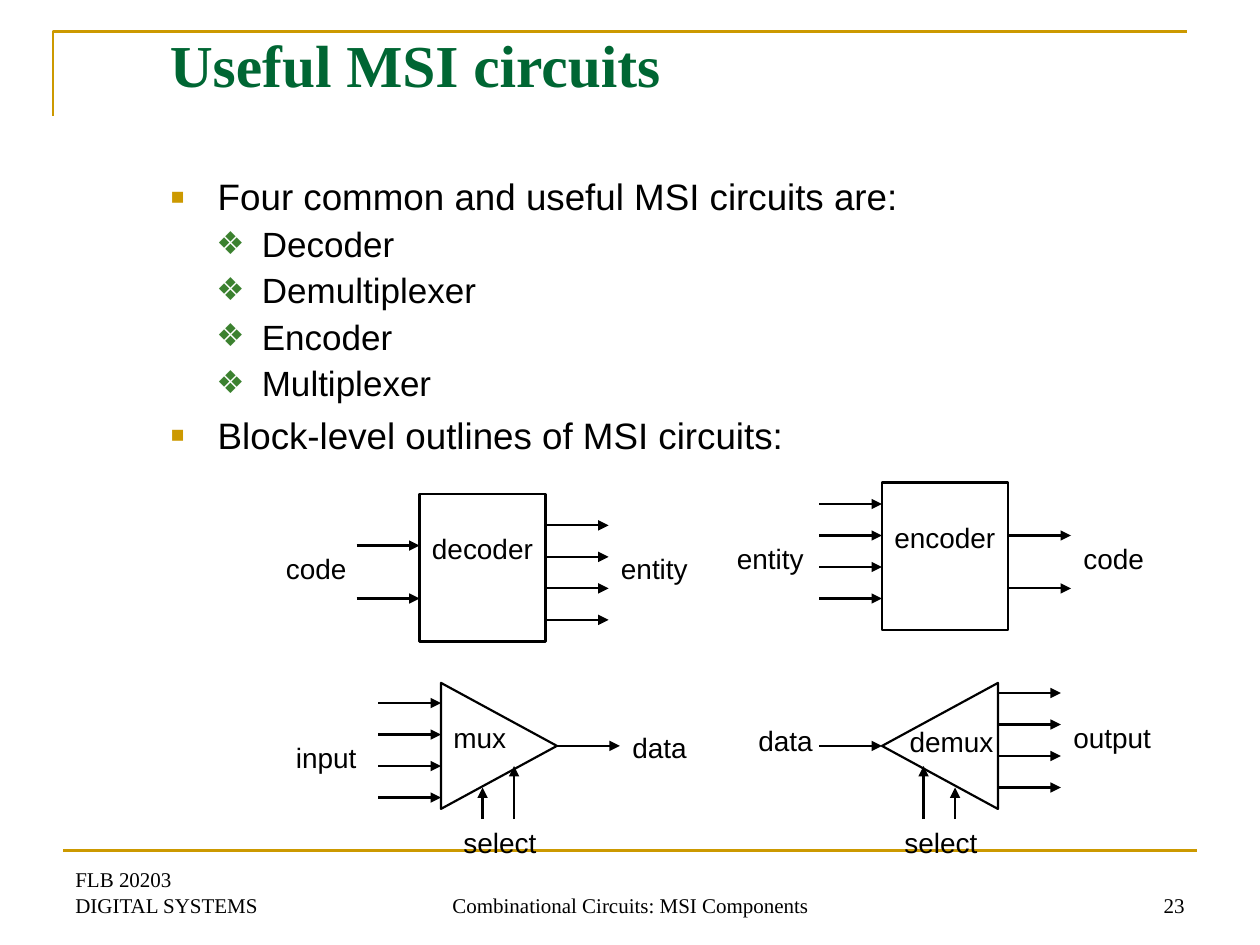
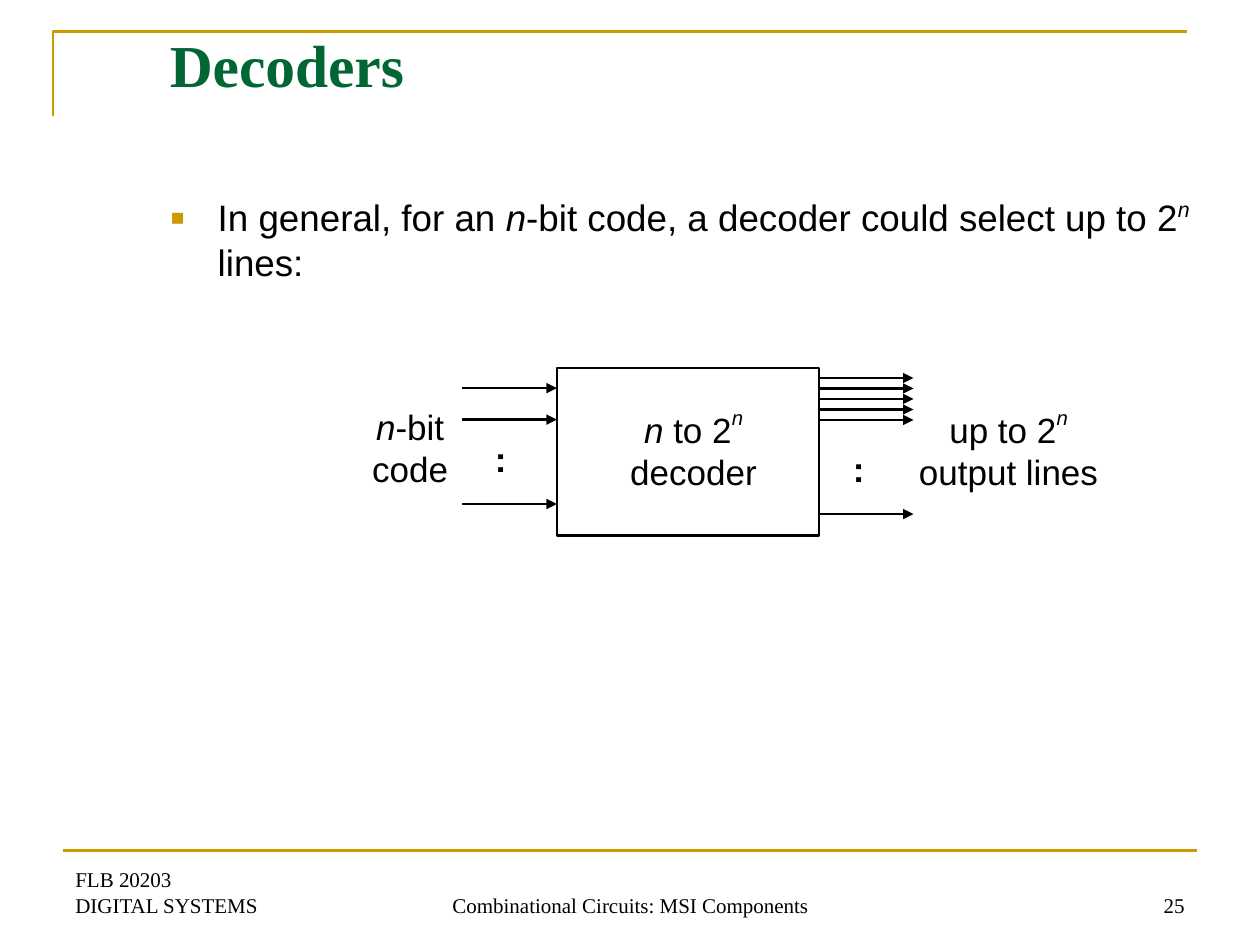
from lxml.etree import SubElement
from pptx import Presentation
from pptx.dml.color import RGBColor
from pptx.enum.shapes import MSO_CONNECTOR, MSO_SHAPE
from pptx.enum.text import MSO_ANCHOR, PP_ALIGN
from pptx.oxml.ns import qn
from pptx.util import Inches, Pt

GOLD, GREEN, LEAF, BLACK = "CC9900", "006633", "3B812F", "000000"
SANS, SERIF = "Arial", "Times New Roman"
# Per list level: mark, colour, size %, left, hang, text size, space before
LEVELS = [("▪", GOLD, 120, 0.38, 0.38, 21, 5.2),
          ("❖", LEAF, 90, 0.73, 0.36, 20, 2.5)]


def color(value):
    return RGBColor.from_string(value)


def steps(start, gap, count):
    return [start + gap * i for i in range(count)]


class Deck:
    def __init__(self):
        self.prs = Presentation()
        self.prs.slide_width, self.prs.slide_height = Inches(10), Inches(7.5)

    def page(self, title, number):
        self.slide = self.prs.slides.add_slide(self.prs.slide_layouts[6])
        self.shapes = self.slide.shapes
        self.corner()
        self.line(0.5, 6.75, 9.5, 6.75, GOLD, 1.5)
        foot = dict(size=12, face=SERIF, anchor=MSO_ANCHOR.BOTTOM)
        self.text(["FLB 20203\vDIGITAL SYSTEMS"], 0.5, 6.83, 2.33, 0.5, **foot)
        self.text(["Combinational Circuits: MSI Components"],
                  3.42, 6.83, 3.17, 0.5, align=PP_ALIGN.CENTER, **foot)
        self.text([str(number)], 7.17, 6.83, 2.33, 0.5,
                  align=PP_ALIGN.RIGHT, **foot)
        self.text([title], 1.25, 0.17, 8.5, 1.25, size=34, face=SERIF,
                  tint=GREEN, bold=True)

    def corner(self):
        path = self.shapes.build_freeform(Inches(0.42), Inches(0.92))
        path.add_line_segments([(Inches(0.42), Inches(0.25)),
                                (Inches(9.42), Inches(0.25))], close=False)
        self.outline(path.convert_to_shape(), GOLD, 1.5)

    def outline(self, shape, tint=BLACK, width=1.5):
        shape.shadow.inherit = False
        shape.fill.background()
        shape.line.color.rgb = color(tint)
        shape.line.width = Pt(width)

    def block(self, x, y, w, h):
        self.outline(self.shapes.add_shape(
            MSO_SHAPE.RECTANGLE, Inches(x), Inches(y), Inches(w), Inches(h)))

    def wedge(self, x, y, turn):
        """Draw a triangle whose unturned frame starts at x, y."""
        shape = self.shapes.add_shape(MSO_SHAPE.ISOSCELES_TRIANGLE, Inches(x),
                                      Inches(y), Inches(1), Inches(0.92))
        shape.rotation = turn
        self.outline(shape, width=1.25)

    def line(self, x1, y1, x2, y2, tint=BLACK, width=1.25):
        wire = self.shapes.add_connector(MSO_CONNECTOR.STRAIGHT, Inches(x1),
                                         Inches(y1), Inches(x2), Inches(y2))
        wire.line.color.rgb = color(tint)
        wire.line.width = Pt(width)
        SubElement(wire._element.spPr, qn("a:effectLst"))
        return wire

    def arrow(self, *ends):
        edge = self.line(*ends).line._get_or_add_ln()
        SubElement(edge, qn("a:tailEnd"), type="triangle")

    def arrows(self, x, ys, length=0.5):
        for y in ys:
            self.arrow(x, y, x + length, y)

    def runs(self, para, text, lift):
        """Split text at |; _ marks an italic part, ^ a raised italic one."""
        for part in text.split("|"):
            mark = part[0] if part[0] in "_^" else ""
            for i, piece in enumerate(part[len(mark):].split("\v")):
                if i:
                    para.add_line_break()
                run = para.add_run()
                run.text = piece
                if mark:
                    run.font.italic = True
                if mark == "^":
                    run._r.get_or_add_rPr().set("baseline", str(lift * 1000))

    def font(self, para, size, face=SANS, tint=BLACK, bold=False):
        para.font.size, para.font.name = Pt(size), face
        para.font.bold = bold
        para.font.color.rgb = color(tint)

    def frame(self, x, y, w, h, anchor=MSO_ANCHOR.TOP):
        box = self.shapes.add_textbox(Inches(x), Inches(y),
                                      Inches(w), Inches(h))
        box.text_frame.word_wrap = True
        box.text_frame.vertical_anchor = anchor
        return box.text_frame

    def paras(self, frame, count):
        return [frame.paragraphs[0]] + [frame.add_paragraph()
                                        for _ in range(count - 1)]

    def text(self, rows, x, y, w, h, size=16, align=PP_ALIGN.LEFT,
             anchor=MSO_ANCHOR.TOP, **style):
        frame = self.frame(x, y, w, h, anchor)
        for para, row in zip(self.paras(frame, len(rows)), rows):
            para.alignment = align
            self.runs(para, row, 50)
            self.font(para, size, **style)

    def label(self, word, x, y, w=0.75):
        self.text([word], x, y, w, 0.37)

    def caption(self, rows, x, w=1.67):
        self.text(rows, x, 3.17, w, 0.79, size=20, align=PP_ALIGN.CENTER)

    def bullets(self, items, x, y, w, h):
        """Write (level, text) items as a bulleted list."""
        paras = self.paras(self.frame(x, y, w, h), len(items))
        for i, (para, (level, row)) in enumerate(zip(paras, items)):
            mark, tint, scale, left, hang, size, space = LEVELS[level]
            props = para._p.get_or_add_pPr()
            props.set("marL", str(Inches(left)))
            props.set("indent", str(-Inches(hang)))
            SubElement(SubElement(props, qn("a:buClr")),
                       qn("a:srgbClr"), val=tint)
            SubElement(props, qn("a:buSzPct"), val=str(scale * 1000))
            SubElement(props, qn("a:buFont"), typeface=SANS)
            SubElement(props, qn("a:buChar"), char=mark)
            para.level = level
            if i:
                para.space_before = Pt(space)
            self.runs(para, row, 40)
            self.font(para, size)


def circuits(deck):
    deck.page("Useful MSI circuits", 23)
    kinds = ["Decoder", "Demultiplexer", "Encoder", "Multiplexer"]
    deck.bullets([(0, "Four common and useful MSI circuits are:"),
                  *[(1, kind) for kind in kinds],
                  (0, "Block-level outlines of MSI circuits:")],
                 1.25, 1.33, 8.17, 2.58)

    # Decoder and encoder: input wires, block, output wires
    for name, x, y, ins, outs in [
            ("decoder", 3.33, 3.92, steps(4.33, 0.42, 2), steps(4.17, 0.25, 4)),
            ("encoder", 7, 3.83, steps(4, 0.25, 4), steps(4.25, 0.42, 2))]:
        deck.block(x, y, 1, 1.17)
        deck.label(name, x, y + 0.25, 1.08)
        deck.arrows(x - 0.5, ins)
        deck.arrows(x + 1, outs)
    deck.label("code", 2.17, 4.33)
    deck.label("entity", 4.83, 4.33)
    deck.label("entity", 5.75, 4.25)
    deck.label("code", 8.5, 4.25)

    # Multiplexer and demultiplexer: wires plus two select lines from below
    for x, turn, ins, outs, short, tall, pick in [
            (3.5, 90, steps(5.58, 0.25, 4), [5.92], 3.83, 4.08, 3.58),
            (7, 270, [5.92], steps(5.5, 0.25, 4), 7.58, 7.33, 7.08)]:
        deck.wedge(x - 0.04, 5.46, turn)
        deck.arrows(x - 0.5, ins)
        deck.arrows(x + 0.92, outs)
        deck.arrow(short, 6.5, short, 6.25)
        deck.arrow(tall, 6.5, tall, 6.08)
        deck.label("select", pick, 6.5, 0.83)
    deck.label("mux", 3.5, 5.67)
    deck.label("input", 2.25, 5.83)
    deck.label("data", 4.92, 5.75)
    deck.label("demux", 7.12, 5.7, 0.92)
    deck.label("data", 5.92, 5.69)
    deck.label("output", 8.42, 5.67, 0.83)


def decoders(deck):
    deck.page("Decoders", 25)
    deck.bullets([(0, "In general, for an |_n|-bit code, a decoder could "
                      "select up to 2|^n| lines:")], 1.25, 1.5, 8.5, 0.92)
    deck.block(4.42, 2.92, 2.08, 1.33)
    deck.arrows(3.67, [3.08, 3.33, 4], 0.75)
    deck.arrows(6.5, [*steps(3, 1 / 12, 5), 4.08], 0.75)
    for x, y in [(3.83, 3.42), (6.67, 3.5)]:
        deck.text([":"], x, y, 0.33, 0.44, size=20, bold=True)
    deck.caption(["_n|-bit", "code"], 2.67, 1.17)
    deck.caption(["_n| to 2|^n", "decoder"], 4.67)
    deck.caption(["up to 2|^n", "output lines"], 7.17)


def main():
    deck = Deck()
    circuits(deck)
    decoders(deck)
    deck.prs.save("out.pptx")


if __name__ == "__main__":
    main()
